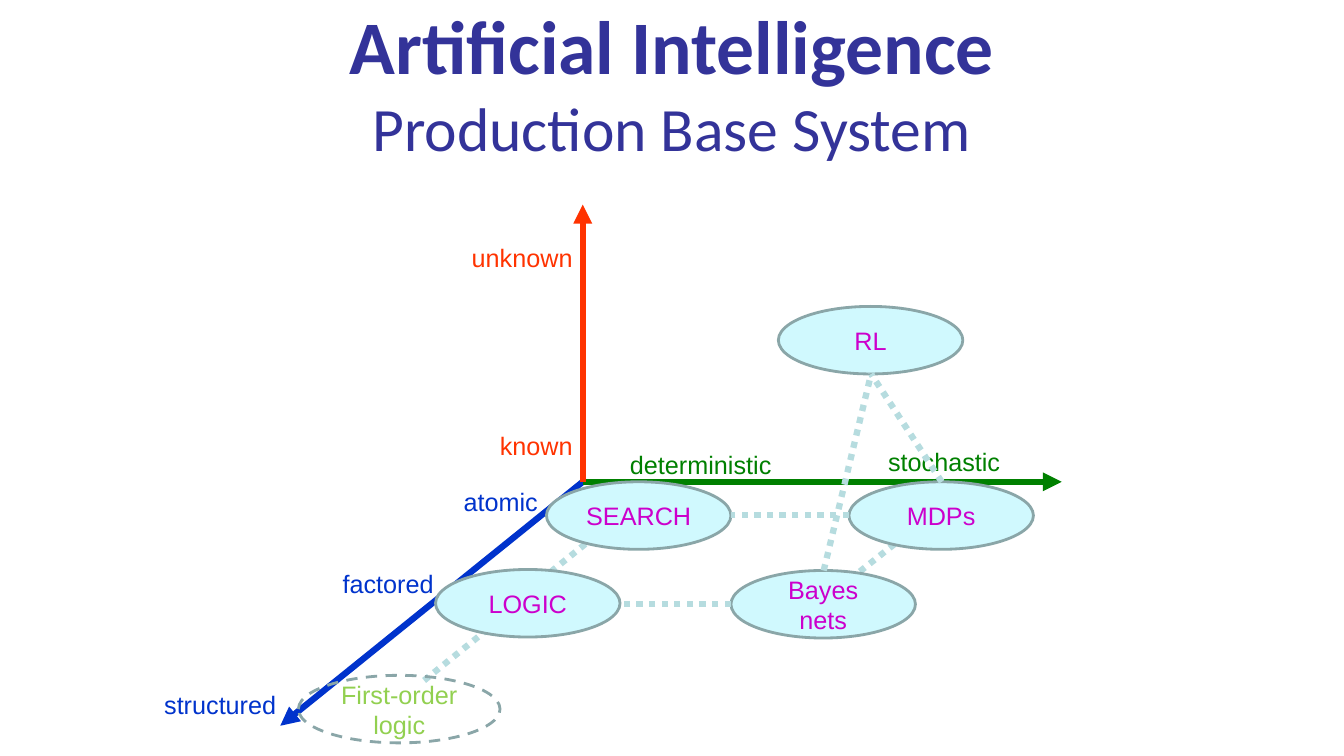
import dataclasses

import pptx
import pptx.dml.color
import pptx.enum.dml
import pptx.enum.shapes
import pptx.enum.text
import pptx.oxml
import pptx.util


@dataclasses.dataclass(frozen=True)
class Theme:
    """Colours, fonts and sizes of the slide."""

    title: str = "333399"
    structure: str = "0033CC"
    certainty: str = "008000"
    knowledge: str = "FF3300"
    link: str = "B6DCDF"
    node_fill: str = "D0F9FE"
    node_line: str = "8AA6A8"
    node_text: str = "CC00CC"
    faint_text: str = "92D050"
    title_font: str = "Calibri"
    label_font: str = "Arial"
    title_size: int = 54
    subtitle_size: int = 44
    label_size: int = 18
    thick: float = 4.5
    thin: int = 2


THEME = Theme()
EMU_PER_PX = 9144
ORIGIN = (578, 478)
NODE_WIDTH, NODE_HEIGHT = 183, 67

AXES = [
    (THEME.structure, (278, 720), [
        ("atomic", 450, 478, 95), ("factored", 330, 559, 111), ("structured", 153, 679, 132)]),
    (THEME.certainty, (1053, 478), [
        ("deterministic", 615, 441, 167), ("stochastic", 871, 438, 132)]),
    (THEME.knowledge, (578, 203), [
        ("known", 486, 422, 93), ("unknown", 458, 236, 121)]),
]
NODES = [
    ("RL", 772, 304), ("Bayes nets", 725, 566), ("LOGIC", 432, 565),
    ("SEARCH", 542, 478), ("MDPs", 842, 478),
]
BACK_LINKS = [
    ((600, 524), (533, 578)), ((484, 624), (417, 678)), ((897, 532), (830, 585)),
]
FRONT_LINKS = [
    ((817, 566), (864, 371)), ((842, 511), (725, 511)),
    ((725, 599), (615, 599)), ((934, 478), (864, 371)),
]


def px(*lengths):
    """Turn px lengths into a list of EMU."""
    return [pptx.util.Emu(length * EMU_PER_PX) for length in lengths]


def rgb(colour):
    """Return the colour object for a hex string."""
    return pptx.dml.color.RGBColor.from_string(colour)


def drawing_element(markup):
    """Parse one DrawingML element given by its name and attributes."""
    namespace = "http://schemas.openxmlformats.org/drawingml/2006/main"
    return pptx.oxml.parse_xml(f'<a:{markup} xmlns:a="{namespace}"/>')


def set_font(font, name, size, colour):
    """Set the face, size and colour of a font."""
    font.name = name
    font.size = pptx.util.Pt(size)
    font.color.rgb = rgb(colour)


def add_line(shapes, start, end, colour):
    """Add a thick straight line and return it."""
    line = shapes.add_connector(
        pptx.enum.shapes.MSO_CONNECTOR.STRAIGHT, *px(*start, *end))
    line.line.color.rgb = rgb(colour)
    line.line.width = pptx.util.Pt(THEME.thick)
    line._element.spPr.append(drawing_element("effectLst"))
    return line


def add_link(shapes, start, end):
    """Add a dotted link between two nodes."""
    link = add_line(shapes, start, end, THEME.link)
    link.line.dash_style = pptx.enum.dml.MSO_LINE.ROUND_DOT


def add_label(shapes, text, left, top, width, colour):
    """Add a one-line axis label."""
    frame = shapes.add_textbox(*px(left, top, width, 40)).text_frame
    frame.word_wrap = False
    frame.auto_size = pptx.enum.text.MSO_AUTO_SIZE.SHAPE_TO_FIT_TEXT
    frame.text = text
    set_font(frame.paragraphs[0].font, THEME.label_font, THEME.label_size, colour)


def add_axis(slide, colour, end, labels):
    """Add a group of an arrow from the origin and its labels."""
    shapes = slide.shapes.add_group_shape().shapes
    arrow = add_line(shapes, ORIGIN, end, colour)
    arrow.get_or_add_ln().append(drawing_element('tailEnd type="triangle"'))
    for text, left, top, width in labels:
        add_label(shapes, text, left, top, width, colour)


def add_node(slide, text, left, top, width=NODE_WIDTH, faint=False):
    """Add an ellipse with centred text, dashed and unfilled when faint."""
    node = slide.shapes.add_shape(
        pptx.enum.shapes.MSO_SHAPE.OVAL, *px(left, top, width, NODE_HEIGHT))
    node.shadow.inherit = False
    node.line.color.rgb = rgb(THEME.node_line)
    node.line.width = pptx.util.Pt(THEME.thin)
    if faint:
        node.fill.background()
        node.line.dash_style = pptx.enum.dml.MSO_LINE.DASH
    else:
        node.fill.solid()
        node.fill.fore_color.rgb = rgb(THEME.node_fill)
    frame = node.text_frame
    frame.word_wrap = True
    frame.vertical_anchor = pptx.enum.text.MSO_ANCHOR.MIDDLE
    frame.text = text
    paragraph = frame.paragraphs[0]
    paragraph.alignment = pptx.enum.text.PP_ALIGN.CENTER
    colour = THEME.faint_text if faint else THEME.node_text
    set_font(paragraph.font, THEME.label_font, THEME.label_size, colour)


def add_title(slide, heading, subheading):
    """Fill the title with a bold heading over a lighter subheading."""
    title = slide.shapes.title
    title.left, title.top, title.width, title.height = px(0, 0, 1333, 161)
    frame = title.text_frame
    frame.auto_size = pptx.enum.text.MSO_AUTO_SIZE.NONE
    frame.vertical_anchor = pptx.enum.text.MSO_ANCHOR.MIDDLE
    paragraph = frame.paragraphs[0]
    paragraph.alignment = pptx.enum.text.PP_ALIGN.CENTER
    set_font(paragraph.font, THEME.title_font, THEME.title_size, THEME.title)
    heading_run = paragraph.add_run()
    heading_run.text = heading
    heading_run.font.bold = True
    paragraph.add_line_break()
    subheading_run = paragraph.add_run()
    subheading_run.text = subheading
    subheading_run.font.size = pptx.util.Pt(THEME.subtitle_size)


def main():
    """Build the slide and save it."""
    presentation = pptx.Presentation()
    presentation.slide_width, presentation.slide_height = px(1333, 750)
    slide = presentation.slides.add_slide(presentation.slide_layouts[5])
    add_title(slide, "Artificial Intelligence", "Production Base System")
    for start, end in BACK_LINKS:
        add_link(slide.shapes, start, end)
    for colour, end, labels in AXES:
        add_axis(slide, colour, end, labels)
    add_node(slide, "First-order logic", 296, 670, width=200, faint=True)
    for text, left, top in NODES:
        add_node(slide, text, left, top)
    for start, end in FRONT_LINKS:
        add_link(slide.shapes, start, end)
    presentation.save("out.pptx")


if __name__ == "__main__":
    main()
